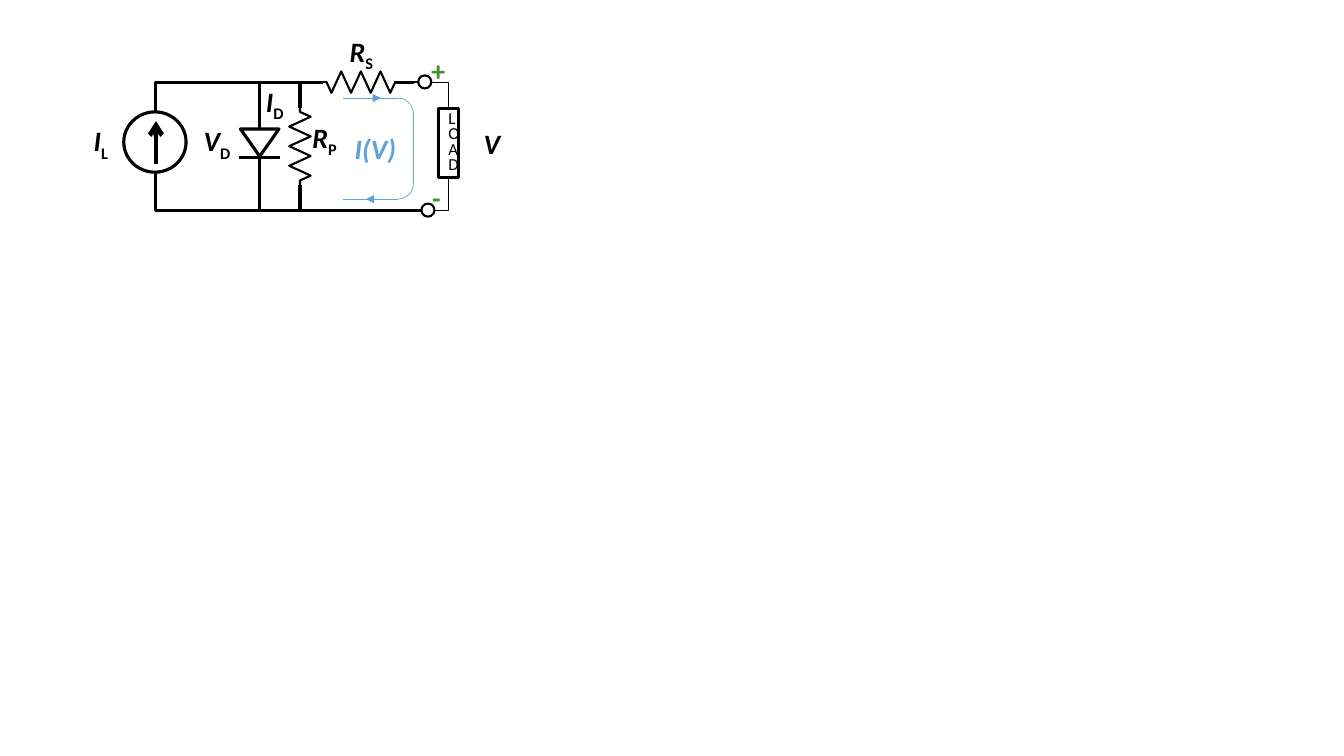
"""Build a slide with the equivalent circuit of a solar cell under load."""
from dataclasses import dataclass

from lxml import etree
from pptx import Presentation
from pptx import util as u
from pptx.dml.color import RGBColor
from pptx.enum import shapes, text
from pptx.oxml.ns import qn

Point = tuple[float, float]
Kind = shapes.MSO_SHAPE


@dataclass(frozen=True)
class Theme:
    font: str = "Calibri"
    ink: str = "000000"
    paper: str = "FFFFFF"
    current: str = "5FA1D8"
    polarity: str = "498F34"
    label_size: float = 20
    load_size: float = 12
    load_spacing: float = 11
    fine: float = 0.5
    medium: float = 1.5
    thick: float = 2.25
    heavy: float = 3.25


THEME = Theme()
TOP, BOTTOM = 2.07, 5.3
SOURCE_X, DIODE_X, SHUNT_X, LOAD_X = 3.93, 6.54, 7.56, 11.3
LOOP_TOP, LOOP_BOTTOM, LOOP_RIGHT = 2.47, 5.02, 10.42


@dataclass(frozen=True)
class Wire:
    points: list[Point]
    width: float = THEME.thick
    color: str = THEME.ink
    head: str = ""


@dataclass(frozen=True)
class Part:
    kind: Kind
    left: float
    top: float
    width: float
    height: float
    line: float = THEME.thick
    color: str = THEME.ink
    fill: str = ""
    rotation: float = 0


@dataclass(frozen=True)
class Label:
    symbol: str
    left: float
    top: float
    width: float = 1.42
    subscript: str = ""
    color: str = THEME.ink
    italic: bool = True


def zigzag(start: Point, vertical: bool = False) -> list[Point]:
    """Return a resistor outline with seven peaks and a short lead at each end."""
    length, peaks, swing, lead = 1.73, 7, 0.27, 0.13
    step = length / peaks
    offsets = [(-lead, 0), (0, 0)]
    offsets += [((i + 0.5) * step, swing * (-1) ** i) for i in range(peaks)]
    offsets += [(length, 0), (length + lead, 0)]
    x, y = start
    if vertical:
        return [(x + across, y + along) for along, across in offsets]
    return [(x + along, y + across) for along, across in offsets]


WIRES = [
    Wire([(8.13, TOP), (SOURCE_X, TOP), (SOURCE_X, 2.82)]),
    Wire([(10.62, BOTTOM), (SOURCE_X, BOTTOM), (SOURCE_X, 4.34)]),
    Wire([(SOURCE_X, 4.14), (SOURCE_X, 3.05)], THEME.heavy, head="arrow"),
    Wire([(DIODE_X, TOP), (DIODE_X, 3.25)]),
    Wire([(DIODE_X, 3.96), (DIODE_X, BOTTOM)]),
    Wire([(6.02, 3.96), (7.06, 3.96)]),
    Wire([(SHUNT_X, TOP), (SHUNT_X, 2.72)]),
    Wire([(SHUNT_X, 4.65), (SHUNT_X, BOTTOM)]),
    Wire(zigzag((SHUNT_X, 2.82), vertical=True), THEME.medium),
    Wire(zigzag((8.23, TOP)), THEME.medium),
    Wire([(9.93, TOP), (10.44, TOP)]),
    Wire([(10.44, TOP), (10.54, TOP)], THEME.medium),
    Wire([(10.87, TOP), (LOAD_X, TOP), (LOAD_X, 2.74)], THEME.fine),
    Wire([(10.95, BOTTOM), (LOAD_X, BOTTOM), (LOAD_X, 4.47)], THEME.fine),
    Wire([(8.64, LOOP_TOP), (10.03, LOOP_TOP)], THEME.fine, THEME.current),
    Wire([(LOOP_RIGHT, 2.86), (LOOP_RIGHT, 4.63)], THEME.fine, THEME.current),
    Wire([(8.64, LOOP_BOTTOM), (10.03, LOOP_BOTTOM)], THEME.fine, THEME.current),
    Wire([(9.07, LOOP_TOP), (9.6, LOOP_TOP)], THEME.fine, THEME.current, "triangle"),
    Wire([(9.75, LOOP_BOTTOM), (9.22, LOOP_BOTTOM)], THEME.fine, THEME.current, "triangle"),
]

PARTS = [
    Part(Kind.OVAL, 3.12, 2.82, 1.57, 1.52),
    Part(Kind.ISOSCELES_TRIANGLE, 6.06, 3.25, 0.97, 0.69, rotation=180),
    Part(Kind.OVAL, 10.54, 1.9, 0.33, 0.33, THEME.medium, fill=THEME.paper),
    Part(Kind.OVAL, 10.62, 5.13, 0.33, 0.33, THEME.medium, fill=THEME.paper),
    Part(Kind.ARC, 9.63, LOOP_TOP, 0.79, 0.79, THEME.fine, THEME.current),
    Part(Kind.ARC, 9.63, 4.23, 0.79, 0.79, THEME.fine, THEME.current, rotation=90),
]
LOAD = Part(Kind.RECTANGLE, 11.05, 2.74, 0.51, 1.73)

LABELS = [
    Label("I", 2.11, 3, subscript="L"),
    Label("V", 4.88, 3, subscript="D"),
    Label("I", 6.45, 2.01, subscript="D"),
    Label("R", 7.62, 2.92, subscript="P"),
    Label("R", 8.56, 0.74, subscript="S"),
    Label("V", 11.94, 3.07),
    Label("I(V)", 8.69, 3.2, 1.65, color=THEME.current),
    Label("+", 10.62, 1.22, 0.91, color=THEME.polarity, italic=False),
    Label("-", 10.64, 4.42, 0.74, color=THEME.polarity, italic=False),
]


def set_line(shape, width: float, color: str) -> None:
    """Give a shape or connector a solid line."""
    shape.line.width = u.Pt(width)
    shape.line.color.rgb = RGBColor.from_string(color)


def draw_wire(slide, wire: Wire) -> None:
    """Draw two points as a connector and longer wires as an open outline."""
    points = [(u.Cm(x), u.Cm(y)) for x, y in wire.points]
    if len(points) > 2:
        builder = slide.shapes.build_freeform(*points[0])
        builder.add_line_segments(points[1:], close=False)
        outline = builder.convert_to_shape()
        outline.fill.background()
        outline.shadow.inherit = False
        set_line(outline, wire.width, wire.color)
        return
    connector = slide.shapes.add_connector(
        shapes.MSO_CONNECTOR.STRAIGHT, *points[0], *points[1])
    set_line(connector, wire.width, wire.color)
    properties = connector._element.spPr
    if wire.head:
        line = properties.find(qn("a:ln"))
        etree.SubElement(line, qn("a:tailEnd"), type=wire.head)
    etree.SubElement(properties, qn("a:effectLst"))


def draw_part(slide, part: Part):
    """Draw one preset shape and return it."""
    shape = slide.shapes.add_shape(
        part.kind, *map(u.Cm, (part.left, part.top, part.width, part.height)))
    shape.rotation = part.rotation
    shape.shadow.inherit = False
    if part.fill:
        shape.fill.solid()
        shape.fill.fore_color.rgb = RGBColor.from_string(part.fill)
    else:
        shape.fill.background()
    set_line(shape, part.line, part.color)
    return shape


def add_run(paragraph, content: str, size: float, color: str):
    """Add one formatted run and return it."""
    run = paragraph.add_run()
    run.text = content
    run.font.name = THEME.font
    run.font.size = u.Pt(size)
    run.font.color.rgb = RGBColor.from_string(color)
    return run


def draw_label(slide, label: Label) -> None:
    """Draw a bold symbol with an optional upright subscript."""
    box = slide.shapes.add_textbox(
        *map(u.Cm, (label.left, label.top, label.width, 1.11)))
    box.text_frame.word_wrap = True
    box.text_frame.auto_size = text.MSO_AUTO_SIZE.SHAPE_TO_FIT_TEXT
    paragraph = box.text_frame.paragraphs[0]
    symbol = add_run(paragraph, label.symbol, THEME.label_size, label.color)
    symbol.font.bold, symbol.font.italic = True, label.italic
    if label.subscript:
        subscript = add_run(paragraph, label.subscript, THEME.label_size, label.color)
        subscript.font.bold = True
        subscript.font._element.set("baseline", "-25000")


def draw_load(slide) -> None:
    """Draw the load box, whose narrow width stacks its letters."""
    frame = draw_part(slide, LOAD).text_frame
    frame.word_wrap = True
    frame.vertical_anchor = text.MSO_ANCHOR.MIDDLE
    paragraph = frame.paragraphs[0]
    paragraph.alignment = text.PP_ALIGN.CENTER
    paragraph.line_spacing = u.Pt(THEME.load_spacing)
    add_run(paragraph, "LOAD", THEME.load_size, THEME.ink)


def main() -> None:
    """Create and save the presentation."""
    presentation = Presentation()
    presentation.slide_width, presentation.slide_height = u.Cm(33.87), u.Cm(19.05)
    slide = presentation.slides.add_slide(presentation.slide_layouts[6])
    for wire in WIRES:
        draw_wire(slide, wire)
    for part in PARTS:
        draw_part(slide, part)
    draw_load(slide)
    for label in LABELS:
        draw_label(slide, label)
    presentation.save("out.pptx")


if __name__ == "__main__":
    main()
